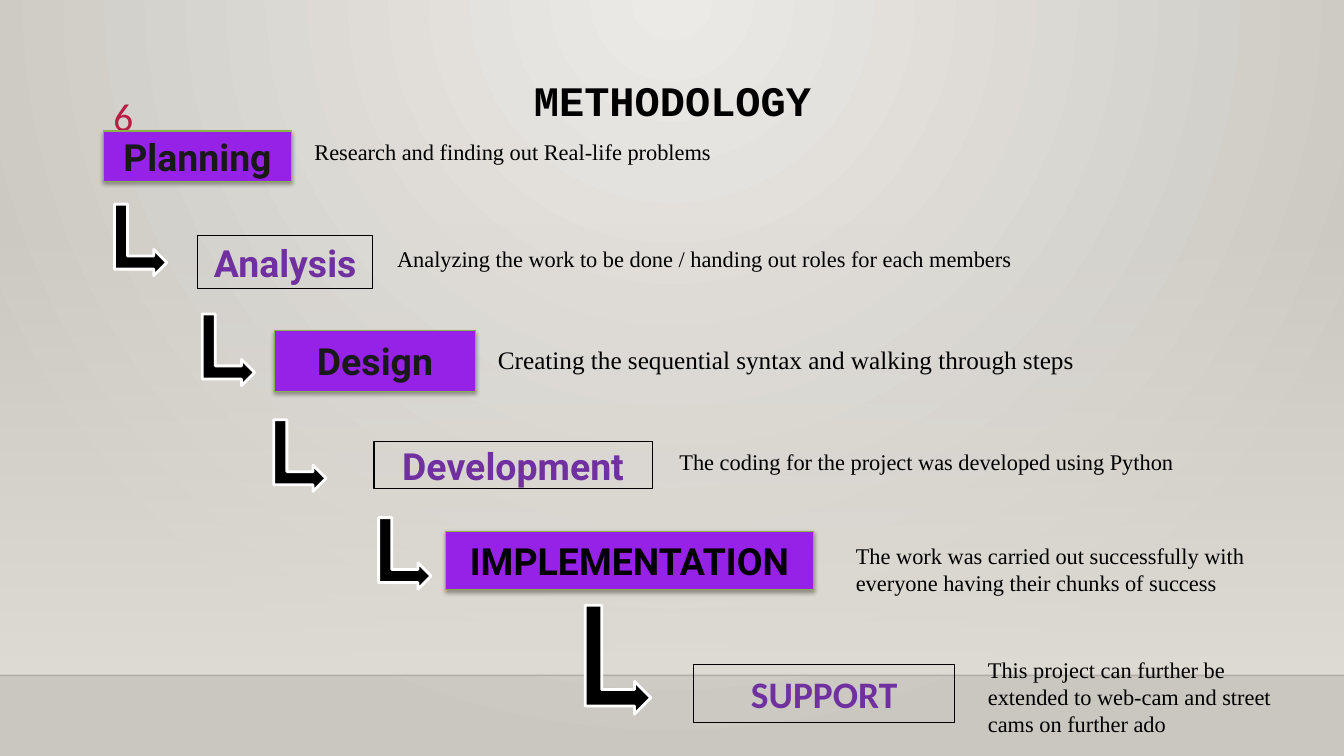
"""Build the methodology slide: a staircase of six project steps."""
from dataclasses import dataclass

from lxml import etree
from pptx import Presentation
from pptx import util as u
from pptx.dml.color import RGBColor
from pptx.enum import shapes, text
from pptx.oxml import ns

Frame = tuple[float, float, float, float]

COLORS = {
    "bg_light": "ECEAE7", "bg_dark": "CAC7C1", "wall": "DFDBD5", "floor": "000001",
    "purple": "9622E7", "violet": "7030A0", "green": "88B345", "red": "B71E42",
    "charcoal": "191919", "black": "000000", "white": "FFFFFF",
}


@dataclass
class Step:
    """One labelled box with its description."""
    name: str
    frame: Frame
    note: str
    note_frame: Frame
    color: str
    font: str = "Roboto"
    note_size: float = 16
    note_align: text.PP_ALIGN = text.PP_ALIGN.LEFT


STEPS = [
    Step("Planning", (1.03, 1.3, 1.86, 0.5), "Research and finding out Real-life problems",
         (0.34, 1.32, 9.49, 0.6), "charcoal", note_align=text.PP_ALIGN.CENTER),
    Step("Analysis", (1.96, 2.34, 1.74, 0.52),
         "Analyzing the work to be done / handing out roles for each members",
         (3.84, 2.38, 8.24, 0.48), "violet"),
    Step("Design", (2.72, 3.28, 2, 0.6),
         "Creating the sequential syntax and walking through steps",
         (4.84, 3.37, 6.58, 0.56), "charcoal", note_size=18),
    Step("Development", (3.71, 4.38, 2.76, 0.47),
         "The coding for the project was developed using Python",
         (6.64, 4.4, 5.85, 0.44), "violet"),
    Step("IMPLEMENTATION", (4.42, 5.27, 3.65, 0.58),
         "The work was carried out successfully with everyone having their chunks of success",
         (8.39, 5.33, 4.69, 0.51), "black"),
    Step("SUPPORT", (6.88, 6.59, 2.59, 0.58),
         "This project can further be extended to web-cam and street cams on further ado",
         (9.7, 6.46, 3.13, 0.64), "violet", font="Calibri"),
]
ARROWS: list[Frame] = [
    (1.04, 2.12, 0.71, 0.52), (1.91, 3.21, 0.71, 0.52), (2.62, 4.26, 0.71, 0.52),
    (3.66, 5.23, 0.71, 0.52), (5.59, 6.22, 1.08, 0.65),
]


def rgb(name: str) -> RGBColor:
    """Look up a colour by name."""
    return RGBColor.from_string(COLORS[name])


def inches(frame: Frame) -> list[u.Length]:
    """Turn a frame into lengths."""
    return [u.Inches(value) for value in frame]


def child(parent, tag: str, **attributes: str):
    """Append a drawing element."""
    return etree.SubElement(parent, ns.qn(f"a:{tag}"), attributes)


def set_gradient(fill, first: str, last: str) -> None:
    """Give a fill a two-stop gradient running downwards."""
    fill.gradient()
    fill.gradient_angle = 270
    for stop, name in zip(fill.gradient_stops, (first, last)):
        stop.color.rgb = rgb(name)


def write(box, words: str, size: float, font: str, color: str, bold: bool = False,
          align: text.PP_ALIGN = text.PP_ALIGN.CENTER,
          anchor: text.MSO_ANCHOR = text.MSO_ANCHOR.TOP) -> None:
    """Put one formatted paragraph in a shape."""
    frame = box.text_frame
    frame.word_wrap = True
    frame.auto_size = text.MSO_AUTO_SIZE.NONE
    frame.vertical_anchor = anchor
    para = frame.paragraphs[0]
    para.text = words
    para.alignment = align
    para.font.size = u.Pt(size)
    para.font.name = font
    para.font.bold = bold
    para.font.color.rgb = rgb(color)


def add_shape(page, kind: shapes.MSO_SHAPE, frame: Frame, fill: str | None,
              line: str | None, width: float = 0.75):
    """Add a preset shape without the theme shadow."""
    shape = page.shapes.add_shape(kind, *inches(frame))
    shape.shadow.inherit = False
    if fill:
        shape.fill.solid()
        shape.fill.fore_color.rgb = rgb(fill)
    else:
        shape.fill.background()
    if line:
        shape.line.color.rgb = rgb(line)
        shape.line.width = u.Pt(width)
    else:
        shape.line.fill.background()
    return shape


def draw_backdrop(page) -> None:
    """Draw the radial background, the wall and the floor line."""
    set_gradient(page.background.fill, "bg_light", "bg_dark")
    gradient = page._element.xpath(".//p:bg//a:gradFill")[0]
    gradient.remove(gradient.find(ns.qn("a:lin")))
    circle = child(gradient, "path", path="circle")
    child(circle, "fillToRect", l="43000", t="0", r="43000", b="100000")

    wall = add_shape(page, shapes.MSO_SHAPE.RECTANGLE, (0, 2.21, 13.33, 4.49), None, None)
    set_gradient(wall.fill, "wall", "wall")
    child(wall._element.xpath("./p:spPr//a:srgbClr")[0], "alpha", val="0")

    floor = page.shapes.add_connector(
        shapes.MSO_CONNECTOR.STRAIGHT, *inches((0, 6.7, 13.33, 6.7)))
    floor.line.color.rgb = rgb("floor")
    floor.line.width = u.Pt(1)
    child(floor._element.xpath(".//a:ln//a:srgbClr")[0], "alpha", val="20000")
    child(floor._element.spPr, "effectLst")


def draw_step(page, step: Step, filled: bool) -> None:
    """Draw the box of a step, filled with a shadow or only outlined."""
    box = add_shape(page, shapes.MSO_SHAPE.RECTANGLE, step.frame,
                    "purple" if filled else None, "green" if filled else "black")
    if filled:
        effects = box._element.spPr.find(ns.qn("a:effectLst"))
        shadow = child(effects, "outerShdw", blurRad=str(u.Pt(3.1)), dist=str(u.Pt(1.8)),
                       dir="5400000", rotWithShape="0")
        child(child(shadow, "srgbClr", val=COLORS["black"]), "alpha", val="35000")
    write(box, step.name, 26.7, step.font, step.color, bold=True,
          anchor=text.MSO_ANCHOR.MIDDLE)


def draw_arrow(page, frame: Frame) -> None:
    """Draw a bent arrow leading down to the next step."""
    arrow = add_shape(page, shapes.MSO_SHAPE.BENT_UP_ARROW, frame, "black", "white", 2)
    arrow.rotation = 90


def draw_note(page, step: Step) -> None:
    """Draw the description of a step."""
    box = page.shapes.add_textbox(*inches(step.note_frame))
    write(box, step.note, step.note_size, "Times New Roman", "black", align=step.note_align)


def main() -> None:
    """Build and save the deck."""
    deck = Presentation()
    deck.slide_width, deck.slide_height = u.Inches(13.33), u.Inches(7.5)
    page = deck.slides.add_slide(deck.slide_layouts[5])
    draw_backdrop(page)

    title = page.shapes.title
    title.left, title.top, title.width, title.height = inches((1.95, 0.69, 9.44, 0.61))
    write(title, "METHODOLOGY", 30, "Courier New", "black", bold=True)
    page.shapes._spTree.append(title._element)

    number = page.shapes.add_textbox(*inches((0.53, 0.87, 0.89, 0.55)))
    write(number, "6", 28, "Calibri", "red", align=text.PP_ALIGN.RIGHT,
          anchor=text.MSO_ANCHOR.MIDDLE)

    for index, step in enumerate(STEPS):
        draw_step(page, step, filled=index % 2 == 0)
    for frame in ARROWS:
        draw_arrow(page, frame)
    for step in STEPS:
        draw_note(page, step)
    deck.save("out.pptx")


if __name__ == "__main__":
    main()
